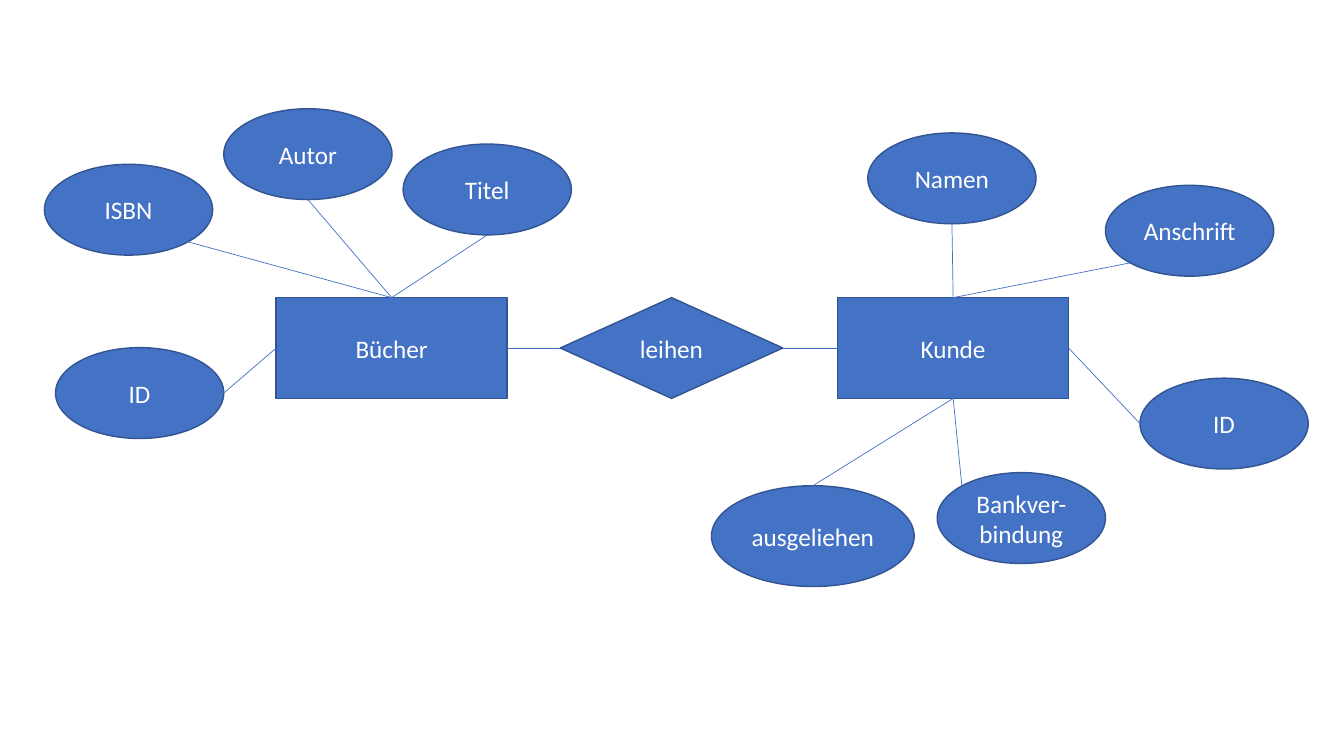
from math import cos, radians, sin

from lxml import etree
from pptx import Presentation
from pptx.dml.color import RGBColor
from pptx.enum.shapes import MSO_CONNECTOR, MSO_SHAPE
from pptx.enum.text import MSO_ANCHOR, PP_ALIGN
from pptx.oxml.ns import qn
from pptx.util import Cm, Pt

RECTANGLE, DIAMOND, OVAL = MSO_SHAPE.RECTANGLE, MSO_SHAPE.DIAMOND, MSO_SHAPE.OVAL
STRAIGHT = MSO_CONNECTOR.STRAIGHT
MIDDLE, CENTER = MSO_ANCHOR.MIDDLE, PP_ALIGN.CENTER

FONT = "Calibri"
BLUE, DARK_BLUE, WHITE = "4472C4", "325491", "FFFFFF"

TOP, LEFT, BOTTOM, RIGHT = range(4)
ENTITY_TOP = 7.5
ENTITY_SIZE = (5.82, 2.54)
RELATION_SIZE = (5.61, 2.54)
ATTRIBUTE_SIZE = (4.24, 2.29)
WIDE_ATTRIBUTE_SIZE = (5.11, 2.54)

# Name, left, top, size, angle of the line's start on the oval, side of the entity
BOOK_ATTRIBUTES = [
    ("Autor", 5.64, 2.74, ATTRIBUTE_SIZE, 270, TOP),
    ("Titel", 10.16, 3.63, ATTRIBUTE_SIZE, 270, TOP),
    ("ISBN", 1.12, 4.14, ATTRIBUTE_SIZE, 315, TOP),
    ("ID", 1.4, 8.76, ATTRIBUTE_SIZE, 0, LEFT),
]
CUSTOMER_ATTRIBUTES = [
    ("Namen", 21.87, 3.35, ATTRIBUTE_SIZE, 270, TOP),
    ("Anschrift", 27.86, 4.67, ATTRIBUTE_SIZE, 225, TOP),
    ("ID", 28.73, 9.53, ATTRIBUTE_SIZE, 180, RIGHT),
    ("Bankver-bindung", 23.62, 11.91, ATTRIBUTE_SIZE, 135, BOTTOM),
    ("ausgeliehen", 17.93, 12.24, WIDE_ATTRIBUTE_SIZE, 90, BOTTOM),
]


def rgb(color):
    return RGBColor.from_string(color)


def add_node(slide, kind, text, left, top, size):
    sp = slide.shapes.add_shape(kind, Cm(left), Cm(top), *map(Cm, size))
    sp.shadow.inherit = False
    sp.fill.solid()
    sp.fill.fore_color.rgb = rgb(BLUE)
    sp.line.color.rgb = rgb(DARK_BLUE)
    sp.line.width = Pt(1)
    tf = sp.text_frame
    tf.word_wrap = True
    tf.vertical_anchor = MIDDLE
    p = tf.paragraphs[0]
    p.text = text
    p.alignment = CENTER
    p.font.name = FONT
    p.font.size = Pt(18)
    p.font.color.rgb = rgb(WHITE)
    return sp


def add_link(slide, target, side, x=0, y=0):
    link = slide.shapes.add_connector(STRAIGHT, x, y, x, y)
    link.end_connect(target, side)
    link.line.color.rgb = rgb(BLUE)
    link.line.width = Pt(0.5)
    etree.SubElement(link._element.spPr, qn("a:effectLst"))
    return link


def add_attributes(slide, entity, attributes):
    for text, left, top, size, angle, side in attributes:
        sp = add_node(slide, OVAL, text, left, top, size)
        x = sp.left + sp.width / 2 * (1 + cos(radians(angle)))
        y = sp.top + sp.height / 2 * (1 - sin(radians(angle)))
        add_link(slide, entity, side, round(x), round(y))


def add_relation(slide, relation, left_entity, right_entity):
    for entity, entity_side, relation_side in (
        (left_entity, RIGHT, LEFT),
        (right_entity, LEFT, RIGHT),
    ):
        link = add_link(slide, entity, entity_side)
        link.begin_connect(relation, relation_side)


def main():
    prs = Presentation()
    prs.slide_width, prs.slide_height = Cm(33.87), Cm(19.05)
    slide = prs.slides.add_slide(prs.slide_layouts[6])
    books = add_node(slide, RECTANGLE, "Bücher", 6.96, ENTITY_TOP, ENTITY_SIZE)
    customer = add_node(slide, RECTANGLE, "Kunde", 21.11, ENTITY_TOP, ENTITY_SIZE)
    lending = add_node(slide, DIAMOND, "leihen", 14.12, ENTITY_TOP, RELATION_SIZE)
    add_relation(slide, lending, books, customer)
    add_attributes(slide, books, BOOK_ATTRIBUTES)
    add_attributes(slide, customer, CUSTOMER_ATTRIBUTES)
    prs.save("out.pptx")


if __name__ == "__main__":
    main()
